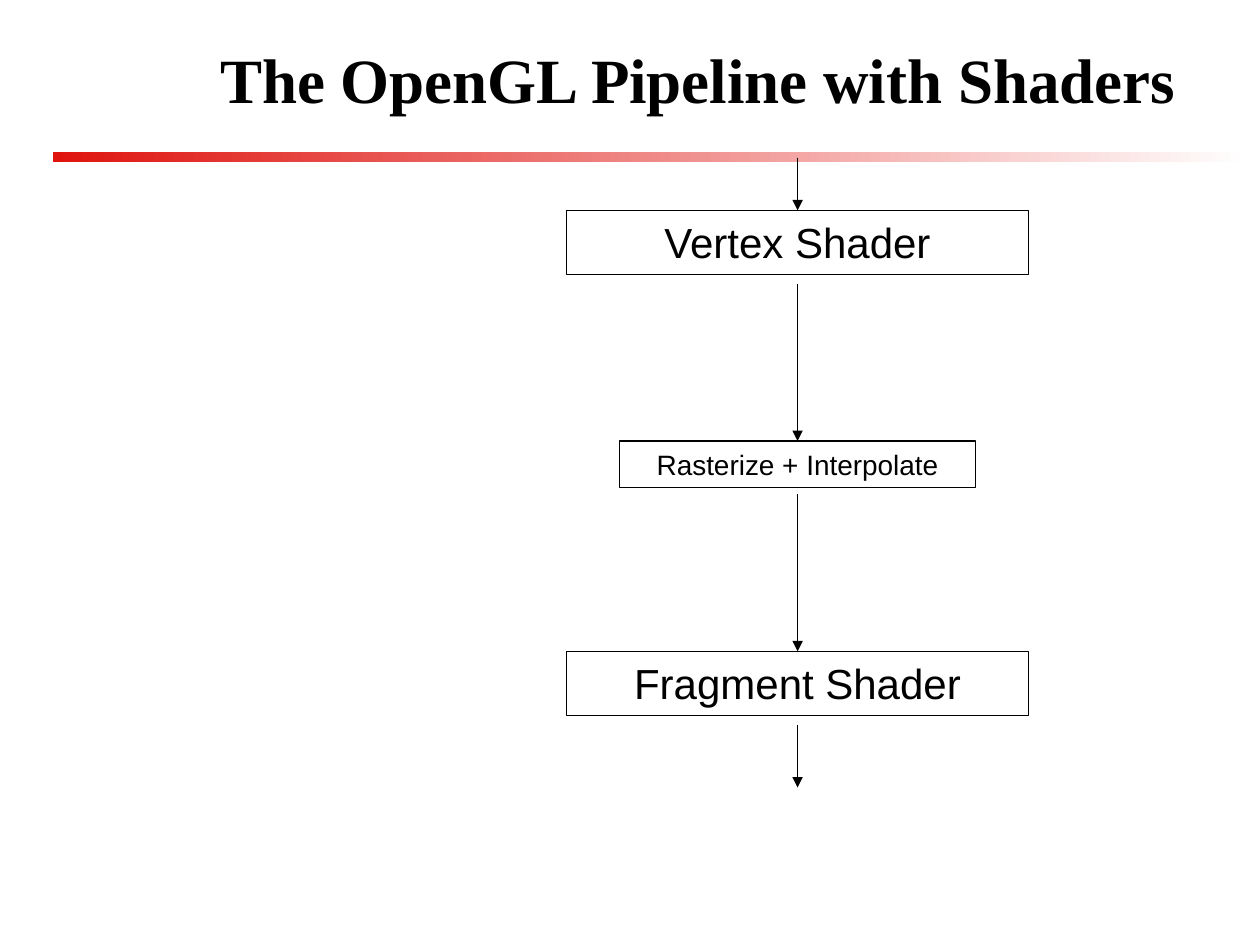
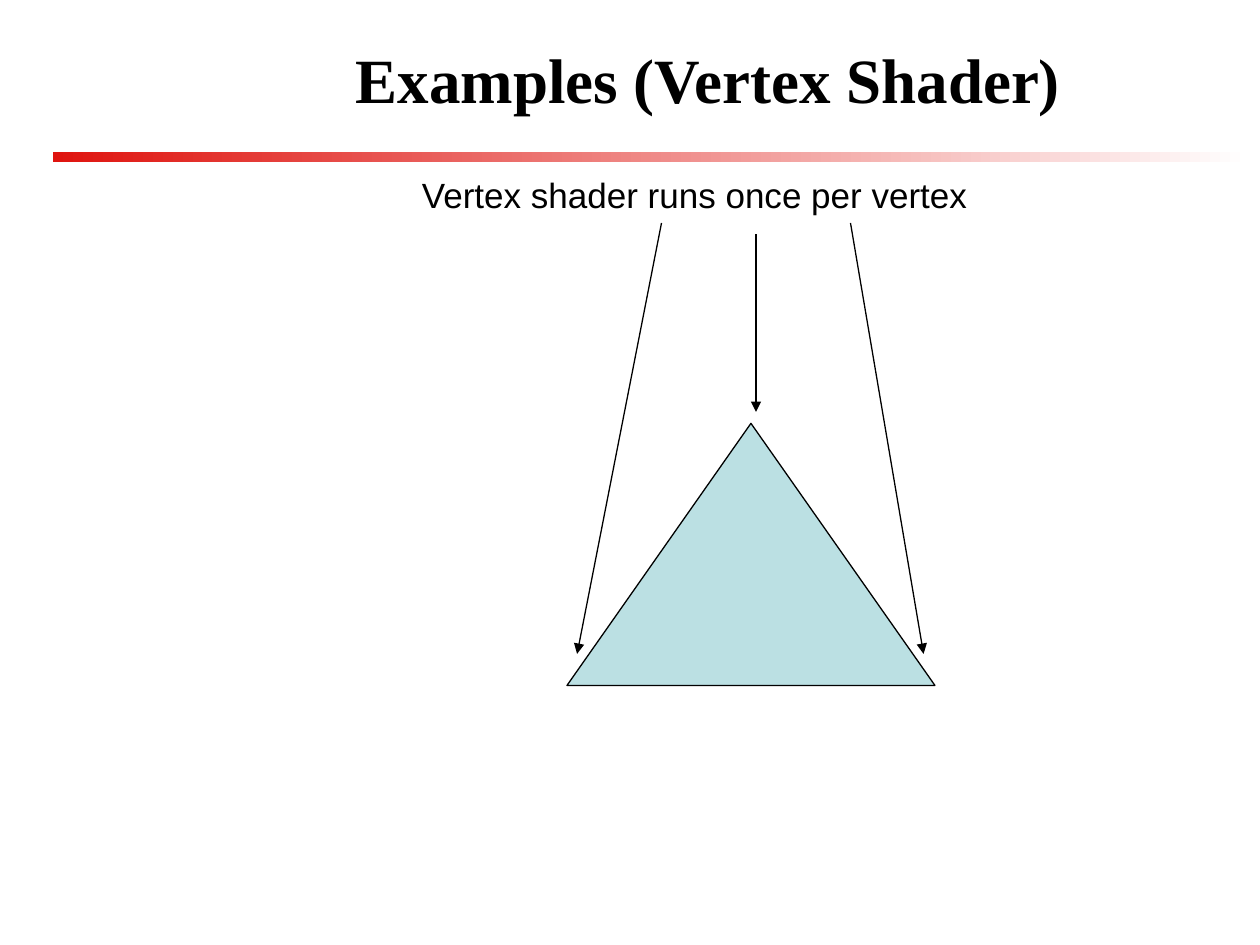
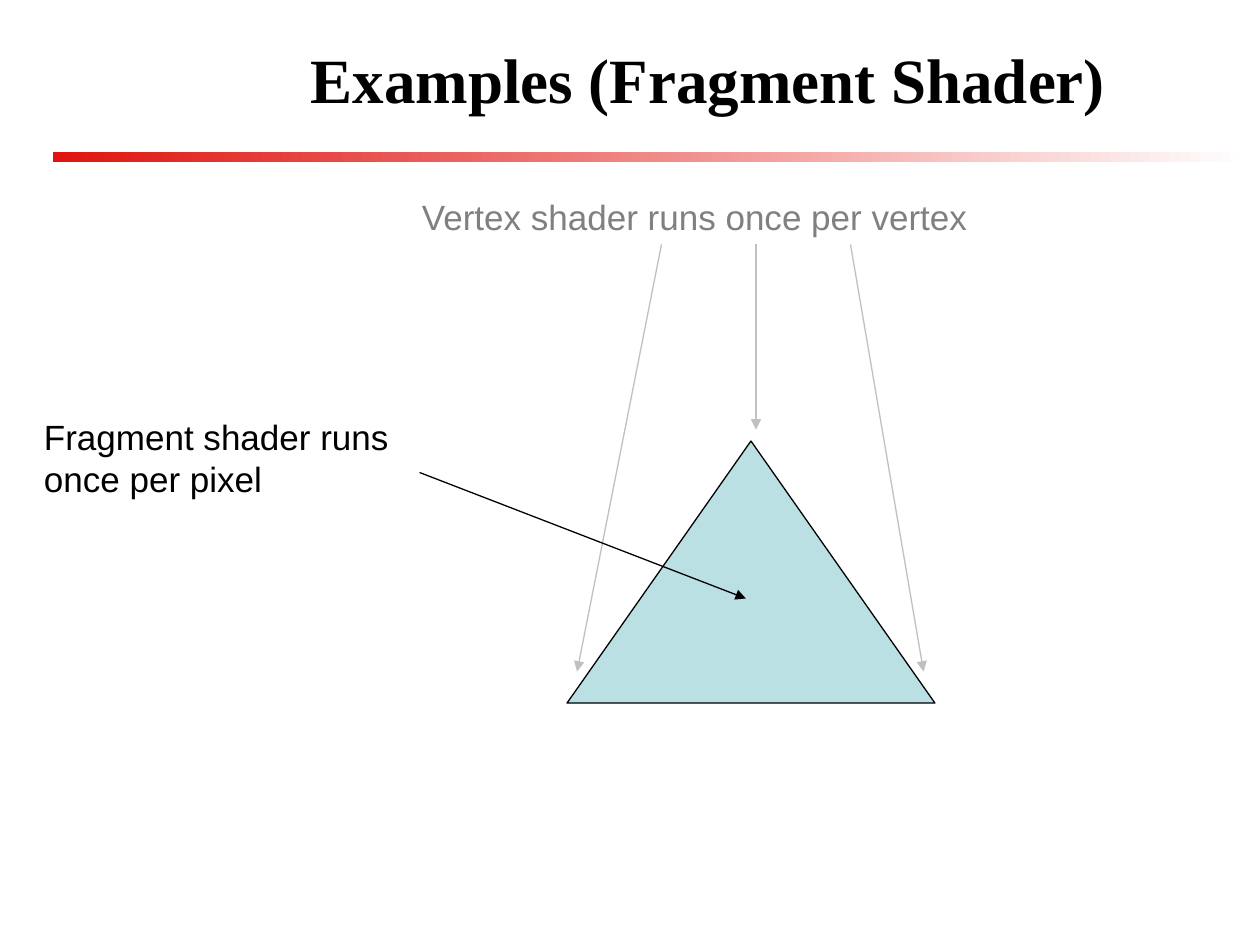
import pptx
import pptx.dml.color
import pptx.enum.shapes
import pptx.enum.text
import pptx.oxml.ns
import pptx.util
from pptx.util import Inches

BLACK, DARK_GRAY, LIGHT_GRAY = "000000", "808080", "C0C0C0"
BAND_RED, WHITE, TRIANGLE_BLUE = "DF140F", "FFFFFF", "BBE0E3"
TITLE_FONT, BODY_FONT = "Times New Roman", "Arial"
LINE_WIDTH = 0.75
SHAPES = pptx.enum.shapes.MSO_SHAPE
ALIGN = pptx.enum.text.PP_ALIGN
ANCHOR = pptx.enum.text.MSO_ANCHOR


def rgb(color):
    return pptx.dml.color.RGBColor.from_string(color)


class Deck:
    def __init__(self):
        self.prs = pptx.Presentation()
        self.prs.slide_width, self.prs.slide_height = Inches(10), Inches(7.5)
        self.layout = self.prs.slide_layouts.get_by_name("Title Only")
        self.slide = None

    def new_slide(self, title, title_width):
        first = self.slide is None
        self.slide = self.prs.slides.add_slide(self.layout)
        if first:
            self.share_band()
        s = self.slide.shapes.title
        s.left, s.top = Inches(1.33), Inches(0.08)
        s.width, s.height = Inches(title_width), Inches(1.09)
        self.set_text(s, title, 36, font=TITLE_FONT, bold=True,
                      align=ALIGN.CENTER, anchor=ANCHOR.MIDDLE)

    def share_band(self):
        """Draw the gradient band and move it to the layout, behind every slide."""
        band = self.shape(SHAPES.RECTANGLE, 0.42, 1.21, 9.5, 0.08)
        band.line.fill.background()
        band.fill.gradient()
        band.fill.gradient_angle = 0
        for stop, color in zip(band.fill.gradient_stops, (BAND_RED, WHITE)):
            stop.color.rgb = rgb(color)
        self.layout.shapes.element.insert(2, band.element)

    def set_text(self, s, text, size, color=BLACK, font=BODY_FONT, bold=False,
                 align=ALIGN.LEFT, anchor=ANCHOR.TOP):
        tf = s.text_frame
        tf.word_wrap = True
        tf.auto_size = pptx.enum.text.MSO_AUTO_SIZE.NONE
        tf.vertical_anchor = anchor
        p = tf.paragraphs[0]
        p.alignment = align
        r = p.add_run()
        r.text = text
        r.font.name, r.font.size, r.font.bold = font, pptx.util.Pt(size), bold
        r.font.color.rgb = rgb(color)

    def shape(self, kind, x, y, w, h, fill=None):
        s = self.slide.shapes.add_shape(kind, Inches(x), Inches(y), Inches(w), Inches(h))
        s.shadow.inherit = False
        if fill:
            s.fill.solid()
            s.fill.fore_color.rgb = rgb(fill)
        else:
            s.fill.background()
        s.line.color.rgb = rgb(BLACK)
        s.line.width = pptx.util.Pt(LINE_WIDTH)
        return s

    def stage(self, text, center, y, w, h, size):
        s = self.shape(SHAPES.RECTANGLE, center - w / 2, y, w, h)
        self.set_text(s, text, size, align=ALIGN.CENTER)
        return s

    def text(self, text, x, y, w, h, color=BLACK):
        s = self.slide.shapes.add_textbox(Inches(x), Inches(y), Inches(w), Inches(h))
        self.set_text(s, text, 20, color)

    def arrow(self, x1, y1, x2, y2, color=BLACK, target=None):
        """Draw an arrow; a target shape takes its head at the middle of the top side."""
        c = self.slide.shapes.add_connector(
            pptx.enum.shapes.MSO_CONNECTOR.STRAIGHT,
            Inches(x1), Inches(y1), Inches(x2), Inches(y2))
        if target is not None:
            c.end_connect(target, 0)
        c.line.color.rgb = rgb(color)
        c.line.width = pptx.util.Pt(LINE_WIDTH)
        qn = pptx.oxml.ns.qn
        sp_pr = c.element.spPr
        ln = sp_pr.find(qn("a:ln"))
        ln.append(ln.makeelement(qn("a:tailEnd"), {"type": "triangle"}))
        sp_pr.append(sp_pr.makeelement(qn("a:effectLst"), {}))

    def vertex_example(self, caption_y, triangle_y, middle_y,
                       text_color=BLACK, line_color=BLACK):
        """Draw a triangle with a caption whose arrows point at its three vertices."""
        self.shape(SHAPES.ISOSCELES_TRIANGLE, 4.5, triangle_y, 2.92, 2.08, TRIANGLE_BLUE)
        self.text("Vertex shader runs once per vertex", 3.25, caption_y, 5.75, 0.44, text_color)
        start, base = caption_y + 0.44, triangle_y + 1.83
        self.arrow(6.75, start, 7.33, base, line_color)
        self.arrow(5.25, start, 4.58, base, line_color)
        self.arrow(6, middle_y, 6, triangle_y - 0.09, line_color)


def main():
    deck = Deck()

    deck.new_slide("The OpenGL Pipeline with Shaders", 8.42)
    center = 6.33
    stages = [  # text, top, width, height, text size, start of the arrow above
        ("Vertex Shader", 1.67, 3.67, 0.51, 24, 1.25),
        ("Rasterize + Interpolate", 3.5, 2.83, 0.37, 16, 2.25),
        ("Fragment Shader", 5.17, 3.67, 0.51, 24, 3.92),
    ]
    for text, y, w, h, size, arrow_y in stages:
        box = deck.stage(text, center, y, w, h, size)
        deck.arrow(center, arrow_y, center, y, target=box)
    deck.arrow(center, 5.75, center, 6.25)

    deck.new_slide("Examples (Vertex Shader)", 8.58)
    deck.vertex_example(1.33, 3.36, 1.86)

    deck.new_slide("Examples (Fragment Shader)", 8.58)
    deck.vertex_example(1.5, 3.5, 1.94, DARK_GRAY, LIGHT_GRAY)
    deck.text("Fragment shader runs once per pixel", 0.25, 3.25, 3.42, 0.78)
    deck.arrow(3.33, 3.75, 5.92, 4.75)

    deck.prs.save("out.pptx")


if __name__ == "__main__":
    main()
